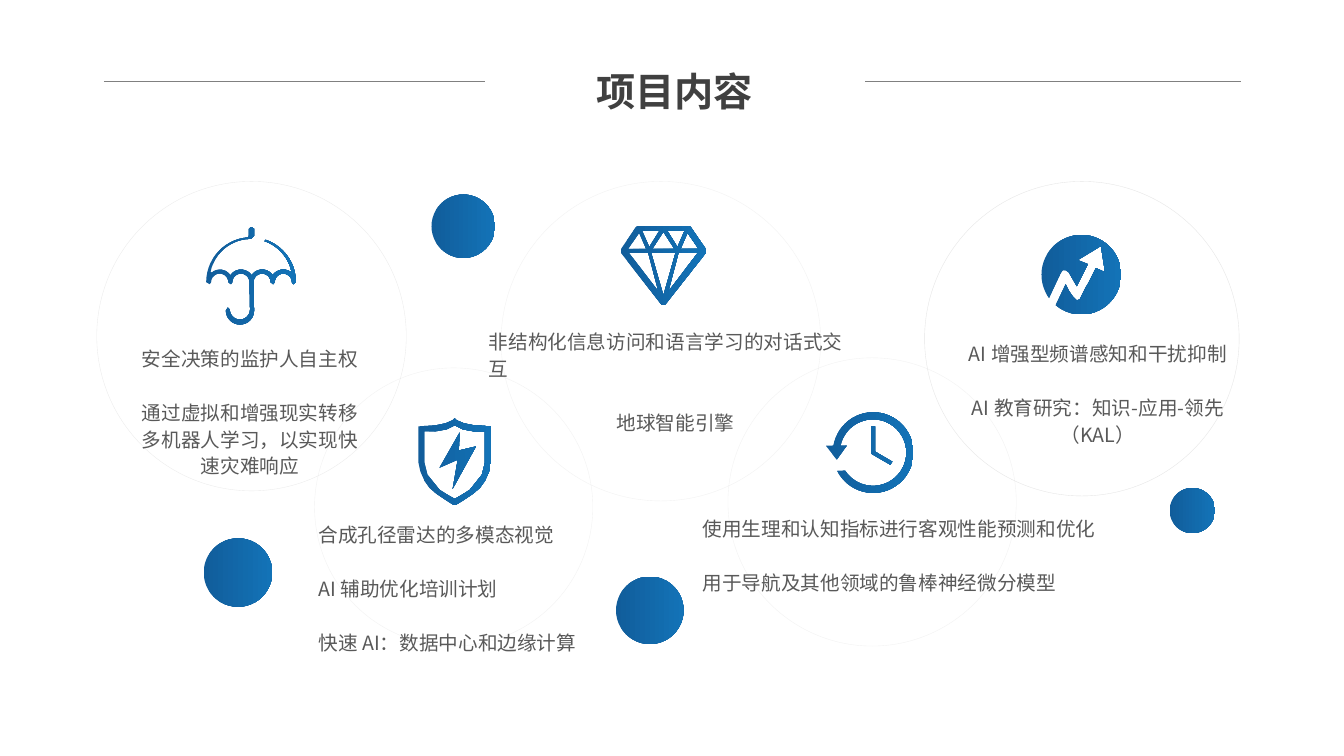
from dataclasses import dataclass
from math import cos, radians, sin

from lxml.etree import SubElement
from pptx import Presentation
from pptx.dml.color import RGBColor
from pptx.enum.shapes import MSO_CONNECTOR, MSO_SHAPE
from pptx.enum.text import MSO_AUTO_SIZE, PP_ALIGN
from pptx.oxml.ns import qn
from pptx.util import Inches, Pt

FONT = "Noto Sans CJK SC"
BLUE_DARK = RGBColor(0x11, 0x5D, 0x9B)
BLUE_LIGHT = RGBColor(0x13, 0x73, 0xB7)
RING = RGBColor(0xBF, 0xBF, 0xBF)
RULE = RGBColor(0x80, 0x80, 0x80)
BODY = RGBColor(0x59, 0x59, 0x59)
HEADING = RGBColor(0x40, 0x40, 0x40)
LEFT, CENTER = PP_ALIGN.LEFT, PP_ALIGN.CENTER

Contour = list[tuple[float, float]]


@dataclass
class Topic:
    ring: tuple[float, float, float]  # left, top, diameter
    opacity: int  # percent
    icon: list[Contour]
    text_box: tuple[float, float, float, float]
    lines: list[str]
    aligns: list[PP_ALIGN]


def arc(x: float, y: float, radius: float, start: int, end: int) -> Contour:
    """Points on a circle; angles in degrees, clockwise from the right."""
    steps = max(4, abs(end - start) // 6)
    angles = [radians(start + (end - start) * i / steps) for i in range(steps + 1)]
    return [(x + radius * cos(a), y + radius * sin(a)) for a in angles]


def mirrored(half: Contour, axis: float) -> Contour:
    """Close a left half with its reflection across a vertical axis."""
    return half + [(2 * axis - x, y) for x, y in reversed(half)]


def umbrella() -> list[Contour]:
    def under(x: float) -> Contour:
        return arc(x, 2.8, 0.085, 0, -180)

    def over(x: float, start: int = 213, end: int = 327) -> Contour:
        return arc(x, 2.8, 0.125, start, end)

    return [
        arc(2.49, 2.8, 0.445, -71, 0) + [(2.91, 2.82)]
        + under(2.81) + [(2.71, 2.82)] + under(2.6)
        + arc(2.38, 3.08, 0.14, 0, 180) + [(2.26, 3.05)]
        + arc(2.38, 3.07, 0.1, 180, 0)
        + under(2.39) + [(2.29, 2.82)] + under(2.18) + [(2.08, 2.82)]
        + arc(2.49, 2.8, 0.445, 180, 267)
        + [(2.47, 2.27), (2.49, 2.25), (2.52, 2.27), (2.52, 2.34), (2.49, 2.37)]
        + arc(2.49, 2.78, 0.41, 268, 192)
        + over(2.18, start=231) + over(2.39) + over(2.6) + over(2.81, end=309)
        + arc(2.49, 2.78, 0.41, -13, -71)
    ]


def shield() -> list[Contour]:
    outer = [(4.51, 4.15), (4.49, 4.17), (4.42, 4.2), (4.32, 4.22), (4.15, 4.23),
             (4.15, 4.59), (4.17, 4.68), (4.21, 4.77), (4.26, 4.84), (4.33, 4.9),
             (4.42, 4.96), (4.5, 5.01)]
    inner = [(4.51, 4.22), (4.43, 4.26), (4.32, 4.28), (4.21, 4.28), (4.21, 4.59),
             (4.24, 4.71), (4.36, 4.86), (4.44, 4.91), (4.51, 4.95)]
    bolt = [(4.56, 4.29), (4.36, 4.64), (4.54, 4.56), (4.49, 4.85), (4.72, 4.43), (4.55, 4.47)]
    return [mirrored(outer, 4.51), mirrored(inner, 4.51), bolt]


def diamond() -> list[Contour]:
    outline = [(6.34, 2.24), (6.31, 2.25), (6.16, 2.47), (6.16, 2.51), (6.56, 3.02), (6.58, 3.03)]
    left_facets = [
        [(6.44, 2.45), (6.37, 2.29), (6.54, 2.29)],
        [(6.53, 2.89), (6.24, 2.51), (6.43, 2.51)],
        [(6.34, 2.31), (6.41, 2.47), (6.23, 2.47)],
    ]
    right_facets = [[(13.16 - x, y) for x, y in facet] for facet in left_facets]
    middle = [[(6.7, 2.51), (6.58, 2.93), (6.46, 2.51)], [(6.47, 2.47), (6.58, 2.3), (6.69, 2.47)]]
    return [mirrored(outline, 6.58), *left_facets, *right_facets, *middle]


def clock() -> list[Contour]:
    face = (arc(8.66, 4.49, 0.4, 190, 513) + arc(8.66, 4.49, 0.33, 507, 192)
            + [(8.4, 4.42), (8.3, 4.56), (8.19, 4.42)])
    hands = [(8.64, 4.23), (8.64, 4.5), (8.83, 4.61), (8.85, 4.58), (8.68, 4.48), (8.68, 4.23)]
    return [face, hands]


def rising_arrow() -> list[Contour]:
    arrow = [(10.57, 2.82), (10.6, 2.88), (10.64, 2.94), (10.68, 2.98), (10.71, 2.97),
             (10.73, 2.93), (10.77, 2.85), (10.8, 2.8), (10.87, 2.66), (10.96, 2.7),
             (10.92, 2.44), (10.69, 2.58), (10.79, 2.62), (10.68, 2.84), (10.64, 2.77),
             (10.6, 2.7), (10.57, 2.68), (10.54, 2.68), (10.52, 2.71), (10.45, 2.86)]
    return [arc(10.725, 2.725, 0.395, 144, 490) + arrow]


def paint_blue(shape) -> None:
    shape.shadow.inherit = False
    shape.line.fill.background()
    shape.fill.gradient()
    shape.fill.gradient_angle = 0
    for stop, color in zip(shape.fill.gradient_stops, (BLUE_DARK, BLUE_LIGHT)):
        stop.color.rgb = color


def add_circle(shapes, left: float, top: float, size: float):
    return shapes.add_shape(MSO_SHAPE.OVAL, Inches(left), Inches(top), Inches(size), Inches(size))


def add_ring(shapes, left: float, top: float, size: float, opacity: int) -> None:
    ring = add_circle(shapes, left, top, size)
    ring.shadow.inherit = False
    ring.fill.background()
    ring.line.color.rgb = RING
    ring.line.width = Pt(0.25)
    color = next(ring.line._ln.iter(qn("a:srgbClr")))
    SubElement(color, qn("a:alpha"), val=str(opacity * 1000))


def add_icon(shapes, contours: list[Contour]) -> None:
    outlines = [[(Inches(x), Inches(y)) for x, y in contour] for contour in contours]
    builder = shapes.build_freeform(*outlines[0][0])
    for index, outline in enumerate(outlines):
        if index:
            builder.move_to(*outline[0])
        builder.add_line_segments(outline[1:], close=True)
    paint_blue(builder.convert_to_shape())


def add_text(shapes, place: tuple[float, float, float, float], lines: list[str],
             aligns: list[PP_ALIGN], *, size: float = 14, color: RGBColor = BODY,
             bold: bool = False, pitch: float = 19.2) -> None:
    frame = shapes.add_textbox(*map(Inches, place)).text_frame
    frame.word_wrap = True
    frame.auto_size = MSO_AUTO_SIZE.SHAPE_TO_FIT_TEXT
    for index, (line, align) in enumerate(zip(lines, aligns)):
        para = frame.add_paragraph() if index else frame.paragraphs[0]
        para.alignment = align
        para.line_spacing = Pt(pitch)
        if index:
            para.space_before = Pt(pitch)
        span = para.add_run()
        span.text = line
        span.font.size = Pt(size)
        span.font.bold = bold
        span.font.color.rgb = color
        span.font.name = FONT
        SubElement(span._r.get_or_add_rPr(), qn("a:ea"), typeface=FONT)


def add_rule(shapes, left: float, right: float, y: float) -> None:
    rule = shapes.add_connector(MSO_CONNECTOR.STRAIGHT, Inches(left), Inches(y), Inches(right), Inches(y))
    rule.line.color.rgb = RULE
    rule.line.width = Pt(0.5)
    SubElement(rule._element.spPr, qn("a:effectLst"))


DOTS = [(4.28, 1.93, 0.63), (11.6, 4.84, 0.45), (6.11, 5.72, 0.67), (2.02, 5.34, 0.68)]

TOPICS = [
    Topic((0.96, 1.8, 3.07), 30, umbrella(), (1.3, 3.36, 2.36, 1.43),
          ["安全决策的监护人自主权", "通过虚拟和增强现实转移多机器人学习，以实现快速灾难响应"],
          [CENTER, CENTER]),
    Topic((3.12, 3.65, 2.76), 20, shield(), (3.06, 5.11, 2.76, 1.43),
          ["合成孔径雷达的多模态视觉", "AI 辅助优化培训计划", "快速 AI：数据中心和边缘计算"],
          [LEFT, LEFT, LEFT]),
    Topic((4.97, 1.8, 3.17), 20, diamond(), (4.75, 3.19, 3.9, 1.7),
          ["非结构化信息访问和语言学习的对话式交互", "地球智能引擎"], [LEFT, CENTER]),
    Topic((7.22, 3.55, 2.86), 20, clock(), (6.87, 5.05, 4.14, 0.89),
          ["使用生理和认知指标进行客观性能预测和优化", "用于导航及其他领域的鲁棒神经微分模型"],
          [LEFT, LEFT]),
    Topic((9.17, 1.8, 3.12), 40, rising_arrow(), (9.25, 3.31, 3.28, 0.89),
          ["AI 增强型频谱感知和干扰抑制", "AI 教育研究：知识-应用-领先 （KAL）"], [CENTER, CENTER]),
]


def main() -> None:
    deck = Presentation()
    deck.slide_width, deck.slide_height = Inches(13.33), Inches(7.5)
    page = deck.slides.add_slide(deck.slide_layouts[6])
    for dot in DOTS:
        paint_blue(add_circle(page.shapes, *dot))
    for topic in TOPICS:
        shapes = page.shapes.add_group_shape().shapes
        add_ring(shapes, *topic.ring, topic.opacity)
        add_icon(shapes, topic.icon)
        add_text(shapes, topic.text_box, topic.lines, topic.aligns)
    header = page.shapes.add_group_shape().shapes
    add_text(header, (4.46, 0.5, 4.46, 0.64), ["项目内容"], [CENTER],
             size=28, color=HEADING, bold=True, pitch=42)
    for left, right in ((1.03, 4.81), (8.58, 12.31)):
        add_rule(header, left, right, 0.81)
    deck.save("out.pptx")


if __name__ == "__main__":
    main()
